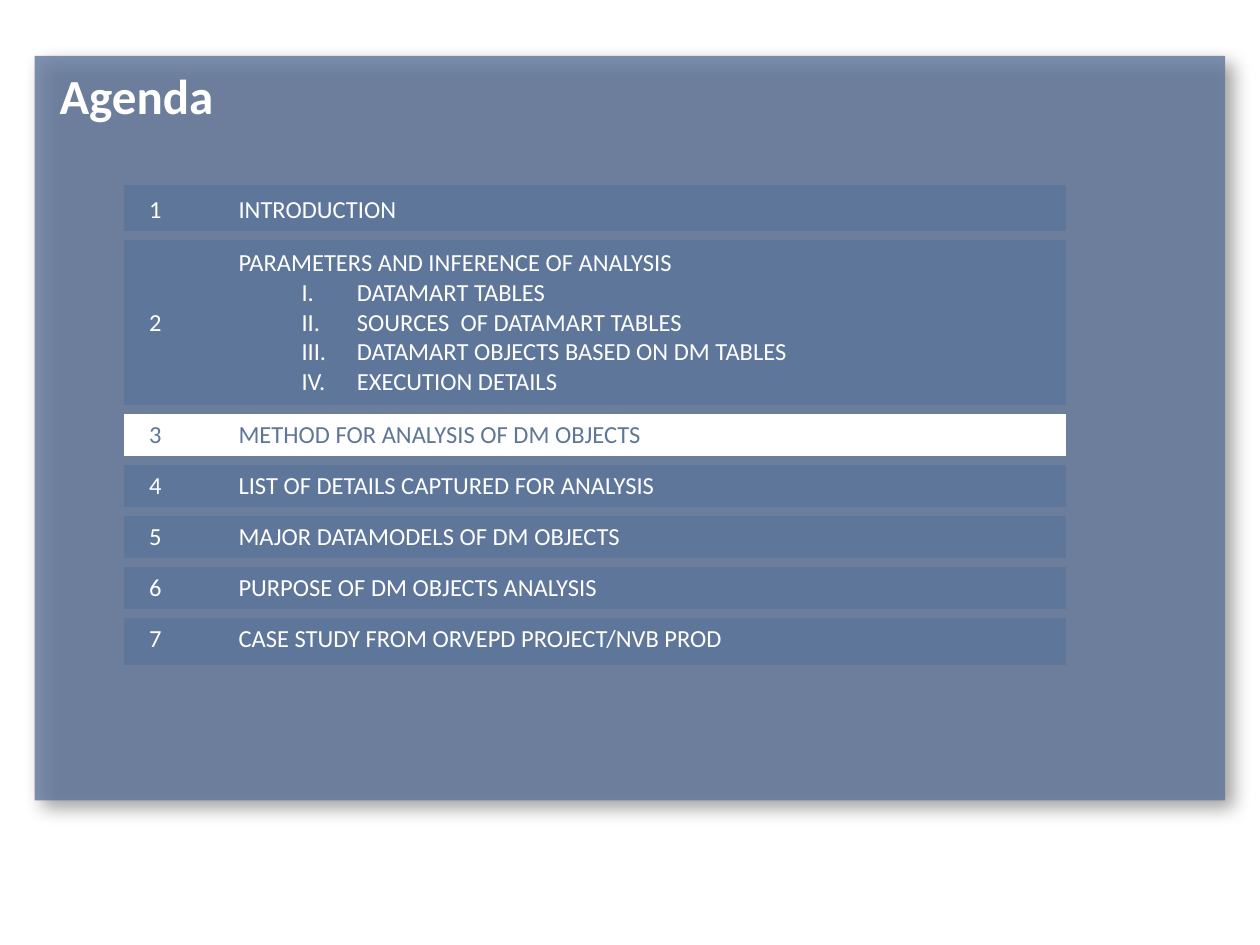
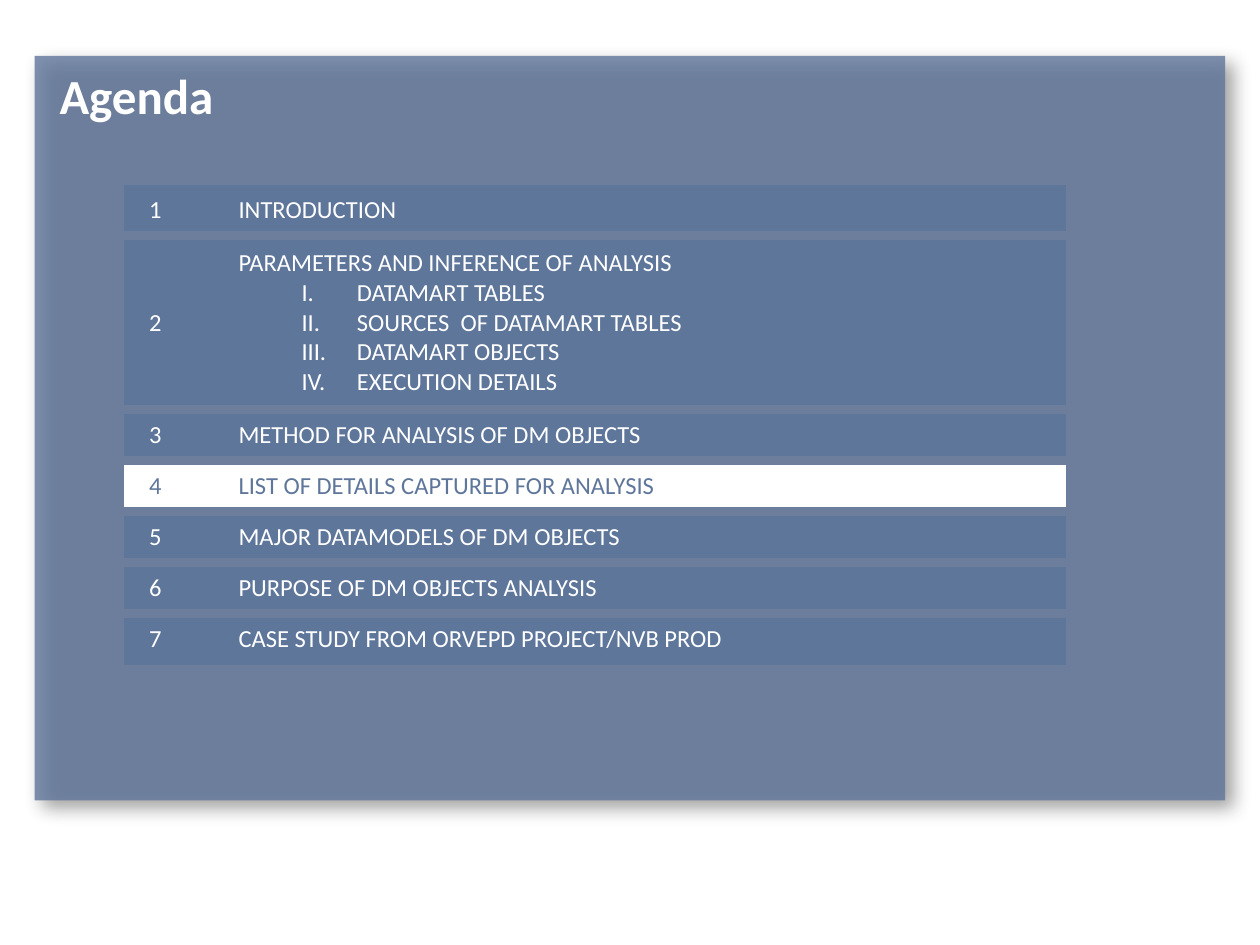
from dataclasses import dataclass

from lxml.etree import SubElement
from pptx import Presentation
from pptx.dml.color import RGBColor
from pptx.enum.shapes import MSO_SHAPE
from pptx.enum.text import MSO_ANCHOR, MSO_AUTO_SIZE, PP_ALIGN
from pptx.oxml import parse_xml
from pptx.oxml.ns import nsdecls, qn
from pptx.util import Inches, Pt

COLUMNS, ROWS = 100, 75
TITLE_ONLY = 5


@dataclass(frozen=True)
class Theme:
    font: str = "Calibri"
    title_size: int = 28
    body_size: int = 14
    blue: str = "5F769B"
    gap: str = "6D7E9D"
    white: str = "FFFFFF"
    shadow: str = "000000"
    gap_width: int = 6


class AgendaDeck:
    """Holds the theme and the current page; lengths are grid columns and rows."""

    def __init__(self, theme):
        self.theme = theme
        self.deck = Presentation()
        self.deck.slide_width, self.deck.slide_height = Inches(10), Inches(7.5)
        self.page = None

    def across(self, columns):
        return round(self.deck.slide_width * columns / COLUMNS)

    def down(self, rows):
        return round(self.deck.slide_height * rows / ROWS)

    def area(self, left, top, width, height):
        return self.across(left), self.down(top), self.across(width), self.down(height)

    def open_page(self, title):
        self.page = self.deck.slides.add_slide(self.deck.slide_layouts[TITLE_ONLY])
        self.panel()
        self.title(title)

    def panel(self):
        """Draw the shaded panel behind everything else on the page."""
        panel = self.page.shapes.add_shape(
            MSO_SHAPE.RECTANGLE, *self.area(2.74, 4.43, 94.5, 59.1))
        panel.line.fill.background()
        panel.fill.solid()
        panel.fill.fore_color.rgb = RGBColor.from_string(self.theme.blue)
        color = panel.element.spPr.find(f"{qn('a:solidFill')}/{qn('a:srgbClr')}")
        SubElement(color, qn("a:alpha"), val="80000")
        panel.element.spPr.append(parse_xml(
            f'<a:effectLst {nsdecls("a")}>'
            f'<a:outerShdw blurRad="{Pt(10)}" dist="{Pt(7)}" dir="2700000"'
            ' algn="tl" rotWithShape="0">'
            f'<a:srgbClr val="{self.theme.shadow}"><a:alpha val="45000"/></a:srgbClr>'
            '</a:outerShdw></a:effectLst>'))
        self.page.shapes.element.insert(2, panel.element)

    def style(self, para, size, color, bold=False):
        para.alignment = PP_ALIGN.LEFT
        for span in para.runs:
            span.font.name = self.theme.font
            span.font.size = Pt(size)
            span.font.bold = bold
            span.font.color.rgb = RGBColor.from_string(color)

    def title(self, text):
        box = self.page.shapes.title
        box.left, box.top, box.width, box.height = self.area(4.33, 5.2, 78.5, 7.1)
        frame = box.text_frame
        frame.text = text
        frame.auto_size = MSO_AUTO_SIZE.NONE
        frame.vertical_anchor = MSO_ANCHOR.TOP
        frame.margin_left = frame.margin_right = self.across(0.4)
        frame.margin_top = frame.margin_bottom = 0
        self.style(frame.paragraphs[0], self.theme.title_size, self.theme.white, bold=True)

    def agenda(self, topics, subtopics, current):
        """List the numbered topics, with the current one in reversed colours."""
        height, tall_row = 38.1, 13.78
        plain_row = (height - tall_row) / (len(topics) - 1)
        table = self.page.shapes.add_table(
            len(topics), 2, *self.area(9.83, 14.66, 74.8, height)).table
        table.first_row = table.horz_banding = False
        for column, width in zip(table.columns, (7.1, 67.7)):
            column.width = self.across(width)
        for number, topic in enumerate(topics, start=1):
            row = table.rows[number - 1]
            details = subtopics.get(number, [])
            row.height = self.down(tall_row if details else plain_row)
            fill, ink = self.theme.blue, self.theme.white
            if number == current:
                fill, ink = ink, fill
            gaps = {"T": number > 1, "B": number < len(topics)}
            for cell, lines in zip(row.cells, ([str(number)], [topic, *details])):
                self.cell(cell, lines, fill, ink, gaps)

    def cell(self, cell, lines, fill, ink, gaps):
        cell.text_frame.text = "\n".join(lines)
        cell.vertical_anchor = MSO_ANCHOR.MIDDLE
        cell.margin_left, cell.margin_right = self.across(2), self.across(1.2)
        cell.margin_top = cell.margin_bottom = self.down(0.4)
        cell.fill.solid()
        cell.fill.fore_color.rgb = RGBColor.from_string(fill)
        self.borders(cell, gaps)
        for index, para in enumerate(cell.text_frame.paragraphs):
            self.style(para, self.theme.body_size, ink)
            if index:
                self.roman(para)

    def borders(self, cell, gaps):
        """Draw the gap colour on the sides that gaps marks; clear the others."""
        properties = cell._tc.get_or_add_tcPr()
        for index, side in enumerate("LRTB"):
            paint, width = "<a:noFill/>", 0
            if gaps.get(side):
                paint = f'<a:solidFill><a:srgbClr val="{self.theme.gap}"/></a:solidFill>'
                width = Pt(self.theme.gap_width)
            properties.insert(index, parse_xml(
                f'<a:ln{side} {nsdecls("a")} w="{width}">{paint}</a:ln{side}>'))

    def roman(self, para):
        """Number the paragraph with an indented upper-case roman numeral."""
        para.level = 1
        properties = para._p.get_or_add_pPr()
        properties.set("marL", str(self.across(9.4)))
        properties.set("indent", str(-self.across(4.4)))
        SubElement(properties, qn("a:buFont"), typeface="+mj-lt")
        SubElement(properties, qn("a:buAutoNum"), type="romanUcPeriod")


TOPICS = [
    "INTRODUCTION",
    "PARAMETERS AND INFERENCE OF ANALYSIS",
    "METHOD FOR ANALYSIS OF DM OBJECTS",
    "LIST OF DETAILS CAPTURED FOR ANALYSIS",
    "MAJOR DATAMODELS OF DM OBJECTS",
    "PURPOSE OF DM OBJECTS ANALYSIS",
    "CASE STUDY FROM ORVEPD PROJECT/NVB PROD",
]
# Current topic and the wording of its third subtopic, page by page
PAGES = [
    (3, "DATAMART OBJECTS BASED ON DM TABLES"),
    (4, "DATAMART OBJECTS"),
]


def main():
    agenda_deck = AgendaDeck(Theme())
    for current, objects in PAGES:
        agenda_deck.open_page("Agenda")
        subtopics = {2: ["DATAMART TABLES", "SOURCES  OF DATAMART TABLES",
                         objects, "EXECUTION DETAILS"]}
        agenda_deck.agenda(TOPICS, subtopics, current)
    agenda_deck.deck.save("out.pptx")


if __name__ == "__main__":
    main()
